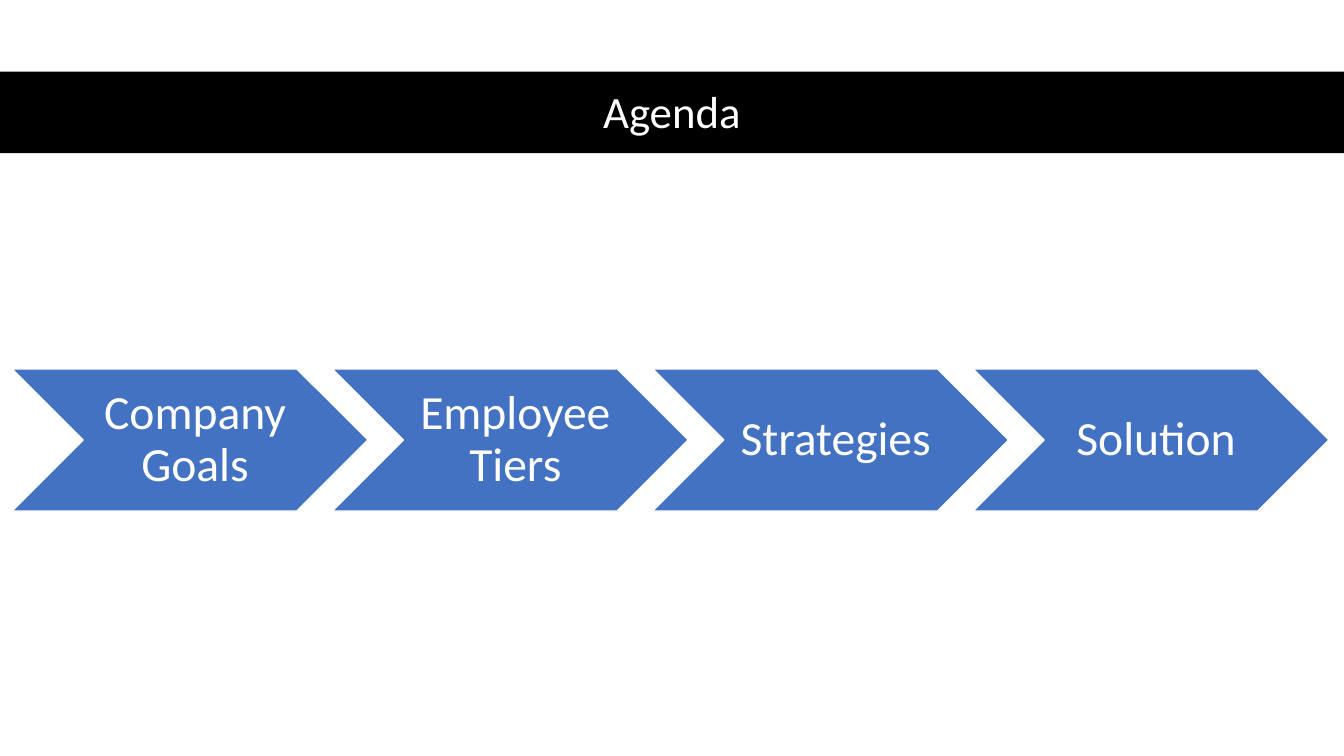
from pptx import Presentation
from pptx.dml.color import RGBColor
from pptx.enum.shapes import MSO_SHAPE
from pptx.enum.text import MSO_ANCHOR, PP_ALIGN
from pptx.util import Inches, Pt

BLACK = RGBColor(0x00, 0x00, 0x00)
WHITE = RGBColor(0xFF, 0xFF, 0xFF)
BLUE = RGBColor(0x43, 0x72, 0xC3)
RECTANGLE, CHEVRON = MSO_SHAPE.RECTANGLE, MSO_SHAPE.CHEVRON
CENTER, MIDDLE = PP_ALIGN.CENTER, MSO_ANCHOR.MIDDLE

SLIDE_WIDTH, SLIDE_HEIGHT = 13.33, 7.5
BLANK_LAYOUT = 6

# Chevron grid, in inches
GRID_LEFT, GRID_TOP = 0.12, 3.66
COLUMN_PITCH = 3.53 * 0.9  # each chevron nests into the next by a tenth
CHEVRON_WIDTH, CHEVRON_HEIGHT = 3.53, 1.41

STEPS = ["Company Goals", "Employee Tiers", "Strategies", "Solution"]


def write_text(shape, text, *, font, size, color, insets):
    """Fill a shape with one centred paragraph; insets are left, top, right, bottom."""
    frame = shape.text_frame
    frame.word_wrap = True
    frame.vertical_anchor = MIDDLE
    (frame.margin_left, frame.margin_top,
     frame.margin_right, frame.margin_bottom) = map(Inches, insets)
    para = frame.paragraphs[0]
    para.alignment = CENTER
    para.line_spacing = 0.9
    span = para.add_run()
    span.text = text
    span.font.name = font
    span.font.size = Pt(size)
    span.font.color.rgb = color


class AgendaSlide:
    """Holds the style and the slide being drawn."""

    font = "Calibri"
    title_size = 32
    step_size = 34
    text_color = WHITE

    def __init__(self, deck):
        self.page = deck.slides.add_slide(deck.slide_layouts[BLANK_LAYOUT])

    def add_block(self, kind, left, top, width, height, fill):
        box = self.page.shapes.add_shape(
            kind, Inches(left), Inches(top), Inches(width), Inches(height))
        box.shadow.inherit = False
        box.fill.solid()
        box.fill.fore_color.rgb = fill
        box.line.fill.background()
        return box

    def add_title_bar(self, text):
        bar = self.add_block(RECTANGLE, 0, 0.71, SLIDE_WIDTH, 0.81, BLACK)
        write_text(bar, text, font=self.font, size=self.title_size,
                   color=self.text_color, insets=(0.1, 0.08, 0.1, 0.05))

    def add_step(self, column, text):
        left = GRID_LEFT + column * COLUMN_PITCH
        step = self.add_block(CHEVRON, left, GRID_TOP,
                              CHEVRON_WIDTH, CHEVRON_HEIGHT, BLUE)
        step.adjustments[0] = 0.5
        step.line.color.rgb = WHITE
        step.line.width = Pt(1)
        write_text(step, text, font=self.font, size=self.step_size,
                   color=self.text_color, insets=(0.15, 0.05, 0.05, 0.05))


def main():
    deck = Presentation()
    deck.slide_width = Inches(SLIDE_WIDTH)
    deck.slide_height = Inches(SLIDE_HEIGHT)
    agenda = AgendaSlide(deck)
    agenda.add_title_bar("Agenda")
    for column, text in enumerate(STEPS):
        agenda.add_step(column, text)
    deck.save("out.pptx")


if __name__ == "__main__":
    main()
